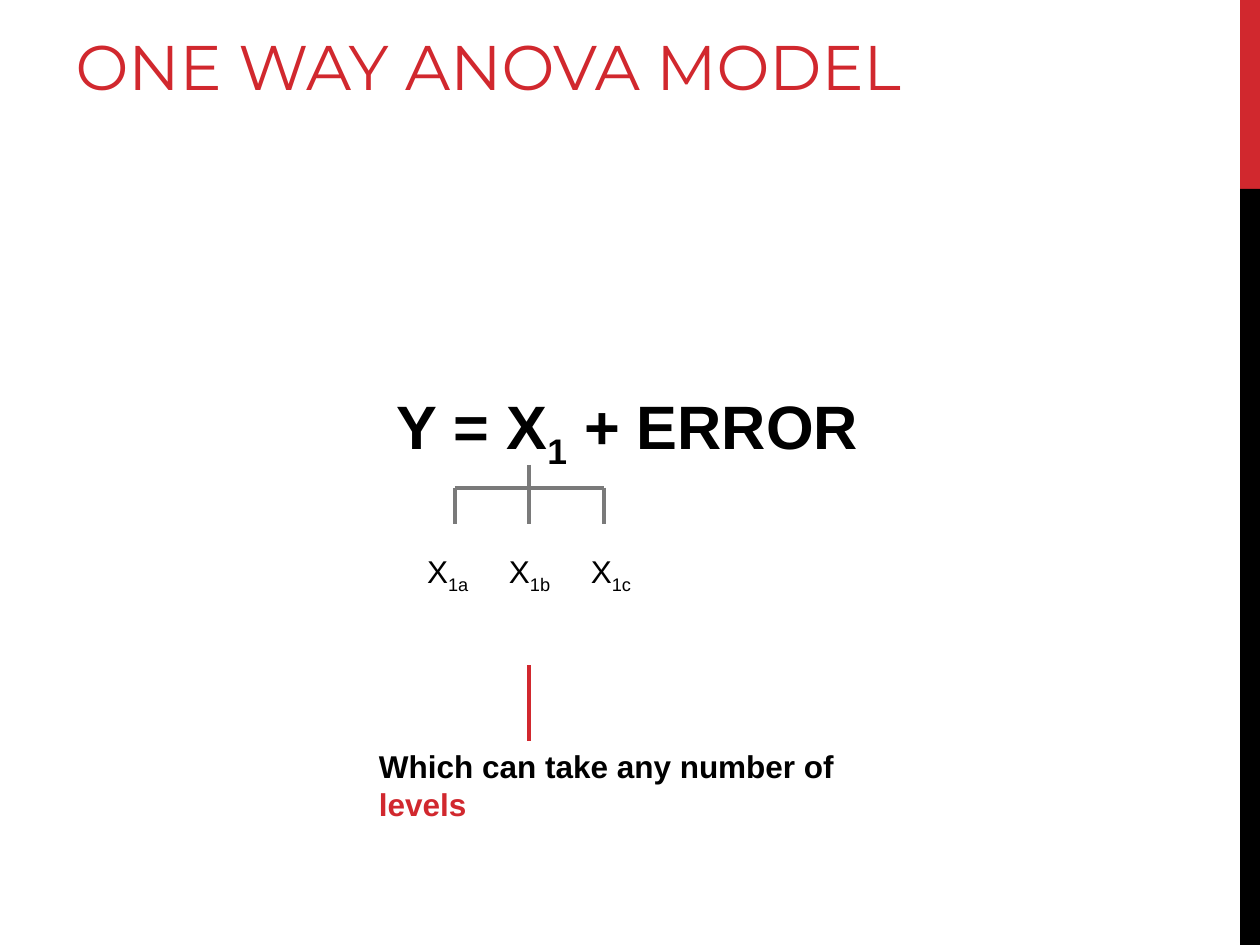
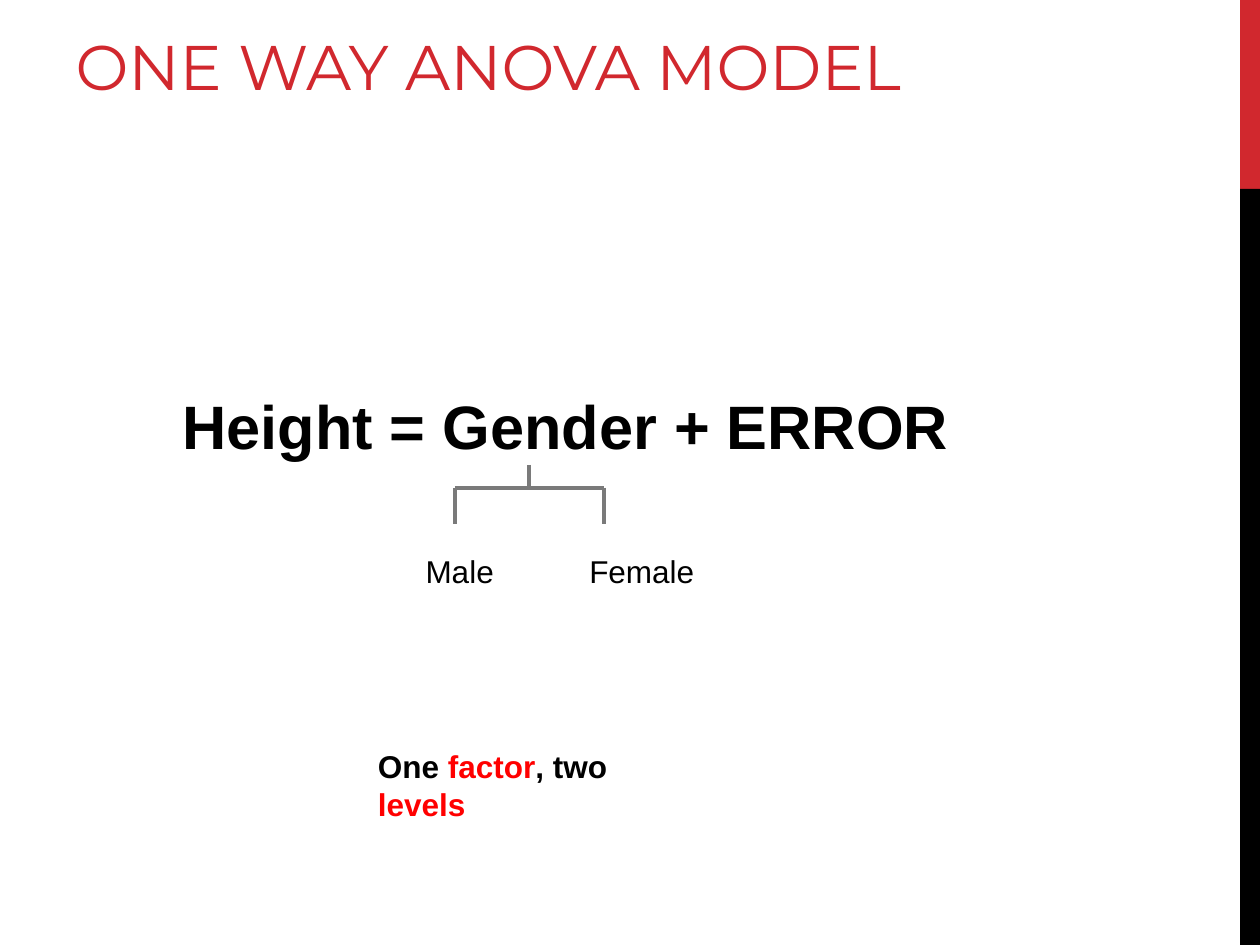
from pptx import Presentation
from pptx.dml.color import RGBColor
from pptx.enum.shapes import MSO_CONNECTOR, MSO_SHAPE
from pptx.enum.text import MSO_ANCHOR, MSO_AUTO_SIZE as AutoSize, PP_ALIGN
from pptx.oxml.ns import qn
from pptx.util import Cm, Pt
from lxml import etree

RED = RGBColor(0xD1, 0x28, 0x2E)
BRIGHT_RED = RGBColor(0xFF, 0x00, 0x00)
BLACK = RGBColor(0x00, 0x00, 0x00)
GREY = RGBColor(0x7A, 0x7A, 0x7A)

TITLE = {"name": "Montserrat", "size": Pt(36), "bold": False}
EQUATION = {"name": "Arial", "size": Pt(35), "bold": True}
CAPTION = {"name": "Arial", "size": Pt(18), "bold": True}
LEVEL = {"name": "Arial", "size": Pt(18), "bold": False}

# Bracket geometry in cm: stem and outer arms, top, bar and foot
LEFT, MID, RIGHT = 9.17, 10.67, 12.17
TOP, BAR, FOOT = 9.37, 9.83, 10.57
LEVEL_TOP, CAPTION_TOP = 11.0, 14.94


def add_text(s, box, runs, fmt, fit=True):
    """Each run is (text, colour, is_subscript)."""
    tf = s.shapes.add_textbox(*map(Cm, box)).text_frame
    tf.word_wrap = not fit
    tf.auto_size = AutoSize.SHAPE_TO_FIT_TEXT if fit else AutoSize.NONE
    for text, color, subscript in runs:
        r = tf.paragraphs[0].add_run()
        r.text = text
        for key, value in fmt.items():
            setattr(r.font, key, value)
        r.font.color.rgb = color
        if subscript:
            r._r.get_or_add_rPr().set("baseline", "-25000")
    return tf


def add_line(s, points, color):
    line = s.shapes.add_connector(MSO_CONNECTOR.STRAIGHT, *map(Cm, points))
    line.line.color.rgb = color
    line.line.width = Pt(2.25)
    etree.SubElement(line._element.spPr, qn("a:effectLst"))


# What differs between the two slides
slides = [
    {
        "equation": (7.75, [("Y = X", BLACK, False), ("1", BLACK, True),
                            (" + ERROR", BLACK, False)]),
        "caption": (7.39, 11.61, [("Which can take any number of ", BLACK, False),
                                  ("levels", RED, False)]),
        "stem_end": FOOT,
        "pointer": [(MID, 13.41, MID, CAPTION_TOP)],
        "levels": [(8.36 + 1.65 * i, 1.35, 1.12,
                    [("X", BLACK, False), ("1" + letter, BLACK, True)])
                   for i, letter in enumerate("abc")],
    },
    {
        "equation": (3.43, [("Height = Gender + ERROR", BLACK, False)]),
        "caption": (7.37, 7.06, [("One ", BLACK, False), ("factor", BRIGHT_RED, False),
                                 (", two ", BLACK, False), ("levels", BRIGHT_RED, False)]),
        "stem_end": BAR,
        "pointer": [],
        "levels": [(8.33, 1.88, 1.02, [("Male", BLACK, False)]),
                   (11.63, 2.62, 1.02, [("Female", BLACK, False)])],
    },
]

prs = Presentation()
prs.slide_width, prs.slide_height = Cm(25.4), Cm(19.05)

for content in slides:
    s = prs.slides.add_slide(prs.slide_layouts[5])

    # Side bands
    for top, height, color in ((0, 3.81, RED), (3.81, 15.24, BLACK)):
        sp = s.shapes.add_shape(MSO_SHAPE.RECTANGLE, Cm(25), Cm(top), Cm(0.4), Cm(height))
        sp.shadow.inherit = False
        sp.fill.solid()
        sp.fill.fore_color.rgb = color
        sp.line.fill.background()

    # Title
    title = s.shapes.title
    title.left, title.top, title.width, title.height = map(Cm, (1.27, 0.43, 21.51, 3.33))
    tf = title.text_frame
    tf.text = "ONE WAY ANOVA MODEL"
    tf.vertical_anchor = MSO_ANCHOR.TOP
    tf.auto_size = AutoSize.NONE
    p = tf.paragraphs[0]
    p.alignment = PP_ALIGN.LEFT
    for key, value in TITLE.items():
        setattr(p.runs[0].font, key, value)
    p.runs[0].font.color.rgb = RED

    # Equation
    left, runs = content["equation"]
    tf = add_text(s, (left, 7.59, 21.16, 3.4), runs, EQUATION, fit=False)
    tf.margin_top = Cm(0.23)

    # Caption and its pointer
    left, width, runs = content["caption"]
    add_text(s, (left, CAPTION_TOP, width, 1.02), runs, CAPTION)
    for points in content["pointer"]:
        add_line(s, points, RED)

    # Bracket
    for points in ((MID, TOP, MID, content["stem_end"]), (LEFT, BAR, RIGHT, BAR),
                   (LEFT, BAR, LEFT, FOOT), (RIGHT, BAR, RIGHT, FOOT)):
        add_line(s, points, GREY)

    # Factor levels
    for left, width, height, runs in content["levels"]:
        add_text(s, (left, LEVEL_TOP, width, height), runs, LEVEL)

prs.save("out.pptx")
